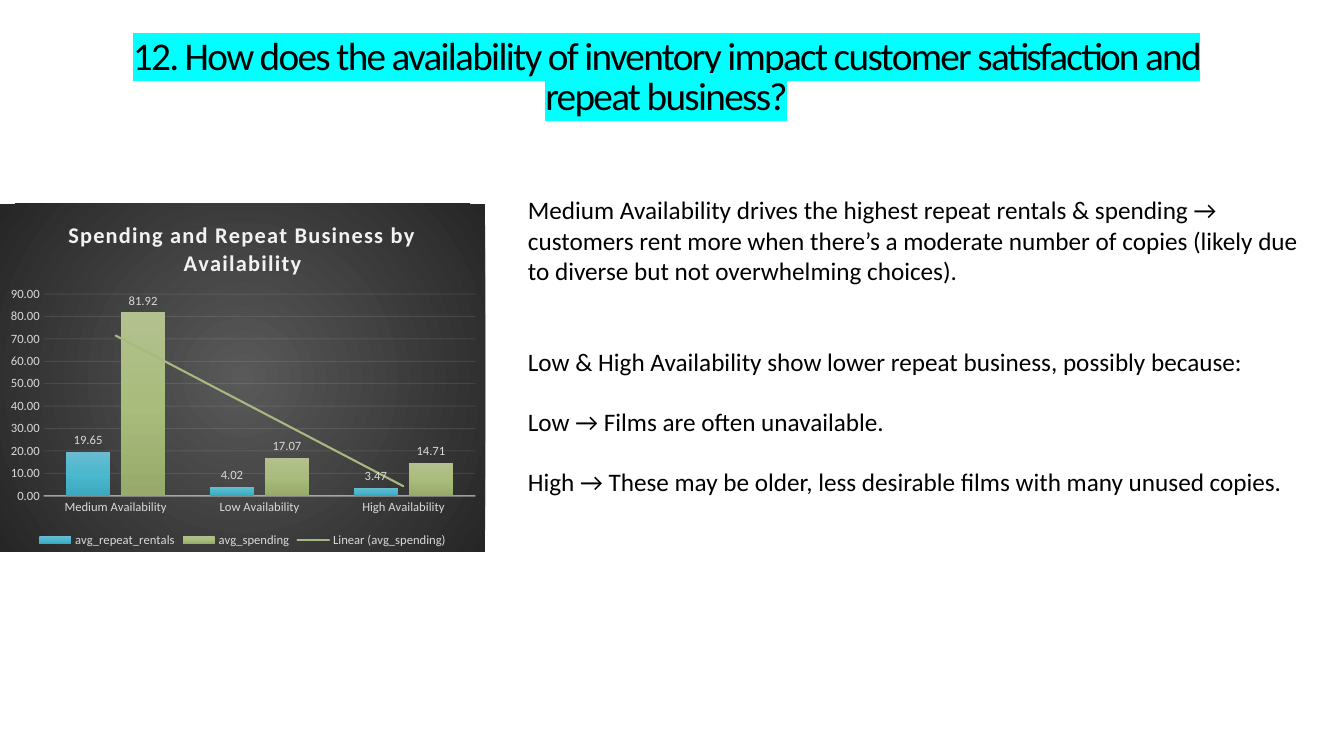
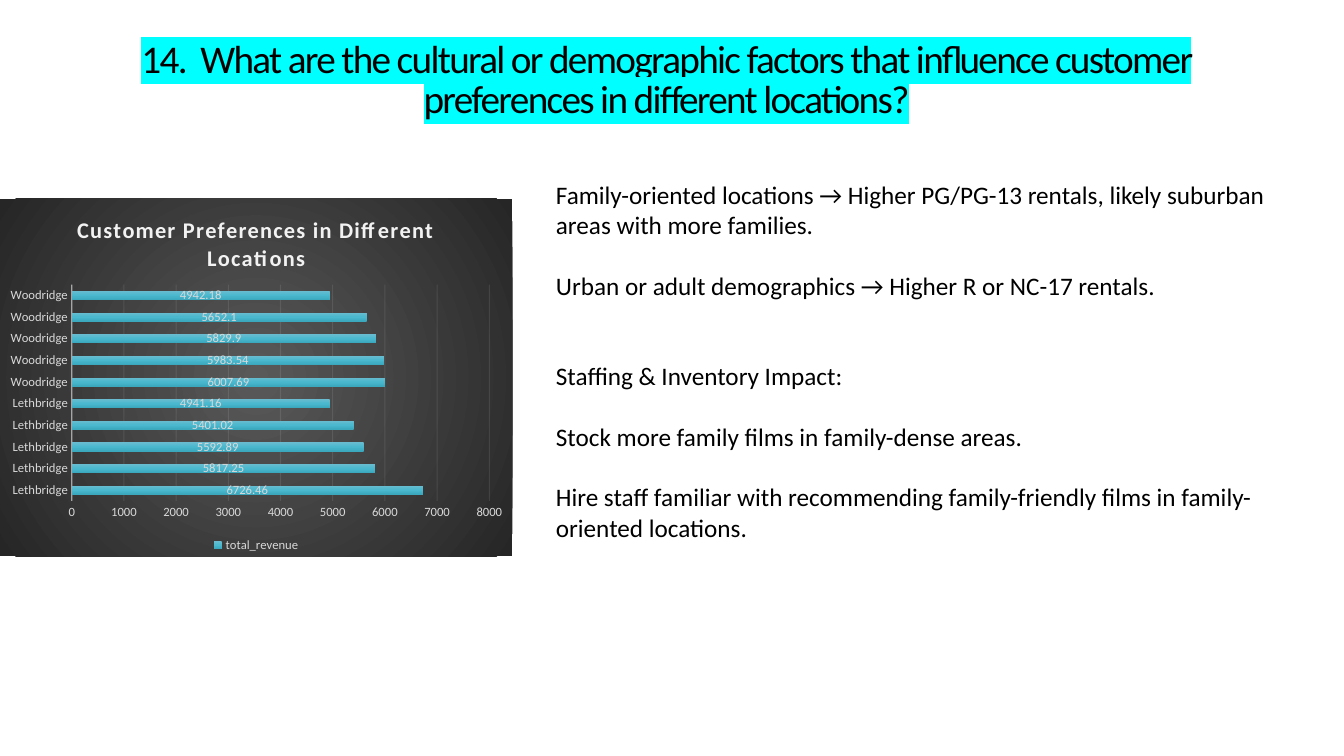
from lxml import etree
from pptx import Presentation
from pptx.chart.data import CategoryChartData
from pptx.dml.color import RGBColor
from pptx.enum.chart import XL_CHART_TYPE, XL_LABEL_POSITION, XL_LEGEND_POSITION, XL_TICK_MARK
from pptx.enum.text import MSO_ANCHOR, MSO_AUTO_SIZE, PP_ALIGN
from pptx.oxml.ns import qn
from pptx.util import Pt

COLUMNS = XL_CHART_TYPE.COLUMN_CLUSTERED
STACKED_BARS = XL_CHART_TYPE.BAR_STACKED
OUTSIDE_END = XL_LABEL_POSITION.OUTSIDE_END
CENTER = XL_LABEL_POSITION.CENTER
NO_TICKS = XL_TICK_MARK.NONE

FONT = "Calibri"
BLANK_LINE = 21.6
COLORS = {
    "text": "000000",
    "highlight": "00FFFF",
    "chart text": "D9D9D9",
    "chart lines": "F2F2F2",
    "trend": "A8B97F",
}
GRADIENTS = {
    "background": [(0, "595959"), (100, "262626")],
    "teal": [(0, "69BCCF"), (50, "4AB8CE"), (100, "3BA8BE")],
    "olive": [(0, "B2C18E"), (50, "A9BC7C"), (100, "98AA6B")],
}
STYLES = {
    "title": {"size": Pt(28), "bold": False, "color": "text"},
    "body": {"size": Pt(18), "color": "text"},
    "chart title": {"size": Pt(16), "bold": True, "color": "chart lines"},
    "chart text": {"size": Pt(9), "color": "chart text"},
}

# Boxes are left, top, width, height in points; "plot" is in fractions of the chart.
# Each body paragraph comes with the number of free lines above it.
SLIDES = [
    {
        "title": "12. How does the availability of inventory impact customer satisfaction and repeat business?",
        "title box": (52, 0, 848, 112),
        "body box": (370, 135.5, 579.5, 269),
        "body": [
            (0, "Medium Availability drives the highest repeat rentals & spending → customers rent more when "
                "there’s a moderate number of copies (likely due to diverse but not overwhelming choices)."),
            (2, "Low & High Availability show lower repeat business, possibly because:"),
            (1, "Low → Films are often unavailable."),
            (1, "High → These may be older, less desirable films with many unused copies."),
        ],
        "chart": {
            "type": COLUMNS,
            "box": (0, 145.5, 346.5, 248.5),
            "plot": (0.09, 0.26, 0.89, 0.58),
            "title": "Spending and Repeat Business by Availability",
            "categories": ["Medium Availability", "Low Availability", "High Availability"],
            "series": [
                ("avg_repeat_rentals", "teal", [19.65, 4.02, 3.47]),
                ("avg_spending", "olive", [81.92, 17.07, 14.71]),
            ],
            "trend": "avg_spending",
            "format": "0.00",
            "labels": OUTSIDE_END,
            "gap": 100,
            "overlap": -24,
            "scale": (90, 10),
        },
    },
    {
        "title": "14.  What are the cultural or demographic factors that influence customer preferences in "
                 "different locations?",
        "title box": (52, 0, 848, 117),
        "body box": (390, 124.5, 555, 291),
        "body": [
            (0, "Family-oriented locations → Higher PG/PG-13 rentals, likely suburban areas with more families."),
            (1, "Urban or adult demographics → Higher R or NC-17 rentals."),
            (2, "Staffing & Inventory Impact:"),
            (1, "Stock more family films in family-dense areas."),
            (1, "Hire staff familiar with recommending family-friendly films in family-oriented locations."),
        ],
        "chart": {
            "type": STACKED_BARS,
            "box": (0, 142, 366, 255.5),
            "plot": (0.14, 0.24, 0.815, 0.605),
            "title": "Customer Preferences in Different Locations",
            "categories": ["Lethbridge"] * 5 + ["Woodridge"] * 5,
            "series": [
                ("total_revenue", "teal", [6726.46, 5817.25, 5592.89, 5401.02, 4941.16,
                                           6007.69, 5983.54, 5829.9, 5652.1, 4942.18]),
            ],
            "trend": None,
            "format": "General",
            "labels": CENTER,
            "gap": 150,
            "overlap": 100,
            "scale": (8000, 1000),
        },
    },
]


def points(box):
    return [Pt(length) for length in box]


def style_font(font, style):
    font.name = FONT
    for name, value in STYLES[style].items():
        if name == "color":
            font.color.rgb = RGBColor.from_string(COLORS[value])
        else:
            setattr(font, name, value)


def child(parent, tag, **attributes):
    element = etree.SubElement(parent, qn(tag))
    for name, value in attributes.items():
        element.set(name, str(value))
    return element


def add_gradient(properties, name, circular=False):
    """Put a gradient fill first in a shape properties element."""
    gradient = child(properties, "a:gradFill", rotWithShape=1)
    properties.insert(0, gradient)
    stops = child(gradient, "a:gsLst")
    for position, color in GRADIENTS[name]:
        stop = child(stops, "a:gs", pos=position * 1000)
        child(stop, "a:srgbClr", val=color)
    if circular:
        center = child(gradient, "a:path", path="circle")
        child(center, "a:fillToRect", l=50000, t=50000, r=50000, b=50000)
    else:
        child(gradient, "a:lin", ang=5400000, scaled=0)


def style_line(line, width, opacity):
    line.width = Pt(width)
    line.color.rgb = RGBColor.from_string(COLORS["chart lines"])
    color = next(line.fill._xPr.iter(qn("a:srgbClr")))
    child(color, "a:alpha", val=opacity * 1000)


def add_trend(series):
    series_element = series._element
    trend = child(series_element, "c:trendline")
    line = child(child(trend, "c:spPr"), "a:ln", w=Pt(1.5), cap="rnd")
    child(child(line, "a:solidFill"), "a:srgbClr", val=COLORS["trend"])
    child(trend, "c:trendlineType", val="linear")
    child(trend, "c:dispRSqr", val=0)
    child(trend, "c:dispEq", val=0)
    series_element.find(qn("c:cat")).addprevious(trend)


def place_plot(chart, fractions):
    """Fix the inner plot area within the chart."""
    plot_area = next(chart.element.iter(qn("c:plotArea")))
    for layout in plot_area.findall(qn("c:layout")):
        plot_area.remove(layout)
    layout = child(plot_area, "c:layout")
    plot_area.insert(0, layout)
    manual = child(layout, "c:manualLayout")
    child(manual, "c:layoutTarget", val="inner")
    for side in "xy":
        child(manual, f"c:{side}Mode", val="edge")
    for side, fraction in zip("xywh", fractions):
        child(manual, f"c:{side}", val=fraction)


def add_title(slide, text, box):
    title = slide.shapes.title
    title.left, title.top, title.width, title.height = points(box)
    frame = title.text_frame
    frame.text = text
    frame.word_wrap = True
    frame.auto_size = MSO_AUTO_SIZE.NONE
    frame.vertical_anchor = MSO_ANCHOR.MIDDLE
    paragraph = frame.paragraphs[0]
    paragraph.alignment = PP_ALIGN.CENTER
    paragraph.line_spacing = 0.85
    font = paragraph.runs[0].font
    style_font(font, "title")
    properties = paragraph.runs[0]._r.get_or_add_rPr()
    properties.set("spc", "-120")
    highlight = child(properties, "a:highlight")
    child(highlight, "a:srgbClr", val=COLORS["highlight"])
    properties.find(qn("a:solidFill")).addnext(highlight)


def add_body(slide, lines, box):
    frame = slide.shapes.add_textbox(*points(box)).text_frame
    frame.word_wrap = True
    for index, (free_lines, text) in enumerate(lines):
        paragraph = frame.add_paragraph() if index else frame.paragraphs[0]
        paragraph.space_before = Pt(free_lines * BLANK_LINE)
        run = paragraph.add_run()
        run.text = text
        style_font(run.font, "body")


def style_axes(chart, content):
    for axis in (chart.category_axis, chart.value_axis):
        axis.major_tick_mark = axis.minor_tick_mark = NO_TICKS
        style_font(axis.tick_labels.font, "chart text")
    style_line(chart.category_axis.format.line, 1, 54)
    value_axis = chart.value_axis
    value_axis.format.line.fill.background()
    style_line(value_axis.major_gridlines.format.line, 0.75, 10)
    value_axis.minimum_scale = 0
    value_axis.maximum_scale, value_axis.major_unit = content["scale"]
    value_axis.tick_labels.number_format = content["format"]
    value_axis.tick_labels.number_format_is_linked = False


def style_series(series, gradient, content):
    add_gradient(series._element.get_or_add_spPr(), gradient)
    series.invert_if_negative = False
    labels = series.data_labels
    label_format = {
        "show_value": True,
        "position": content["labels"],
        "number_format": content["format"],
        "number_format_is_linked": False,
    }
    for name, value in label_format.items():
        setattr(labels, name, value)
    style_font(labels.font, "chart text")
    if series.name == content["trend"]:
        add_trend(series)


def add_chart(slide, content):
    data = CategoryChartData()
    data.categories = content["categories"]
    for name, _, values in content["series"]:
        data.add_series(name, values)
    chart = slide.shapes.add_chart(content["type"], *points(content["box"]), data).chart
    style_font(chart.font, "chart text")

    background = child(chart.element, "c:spPr")
    add_gradient(background, "background", circular=True)
    child(child(background, "a:ln"), "a:noFill")
    chart.element.find(qn("c:chart")).addnext(background)

    chart.has_title = True
    chart.chart_title.include_in_layout = False
    frame = chart.chart_title.text_frame
    frame.text = content["title"]
    title_run = frame.paragraphs[0].runs[0]
    style_font(title_run.font, "chart title")
    title_run._r.get_or_add_rPr().set("spc", "100")

    chart.has_legend = True
    chart.legend.position = XL_LEGEND_POSITION.BOTTOM
    chart.legend.include_in_layout = False
    style_font(chart.legend.font, "chart text")

    plot = chart.plots[0]
    plot.gap_width = content["gap"]
    plot.overlap = content["overlap"]
    plot.vary_by_categories = False
    for series, (_, gradient, _) in zip(plot.series, content["series"]):
        style_series(series, gradient, content)
    style_axes(chart, content)
    place_plot(chart, content["plot"])


def main():
    presentation = Presentation()
    presentation.slide_width, presentation.slide_height = Pt(960), Pt(540)
    title_only = presentation.slide_layouts[5]
    for content in SLIDES:
        slide = presentation.slides.add_slide(title_only)
        add_title(slide, content["title"], content["title box"])
        add_chart(slide, content["chart"])
        add_body(slide, content["body"], content["body box"])
    presentation.save("out.pptx")


if __name__ == "__main__":
    main()
